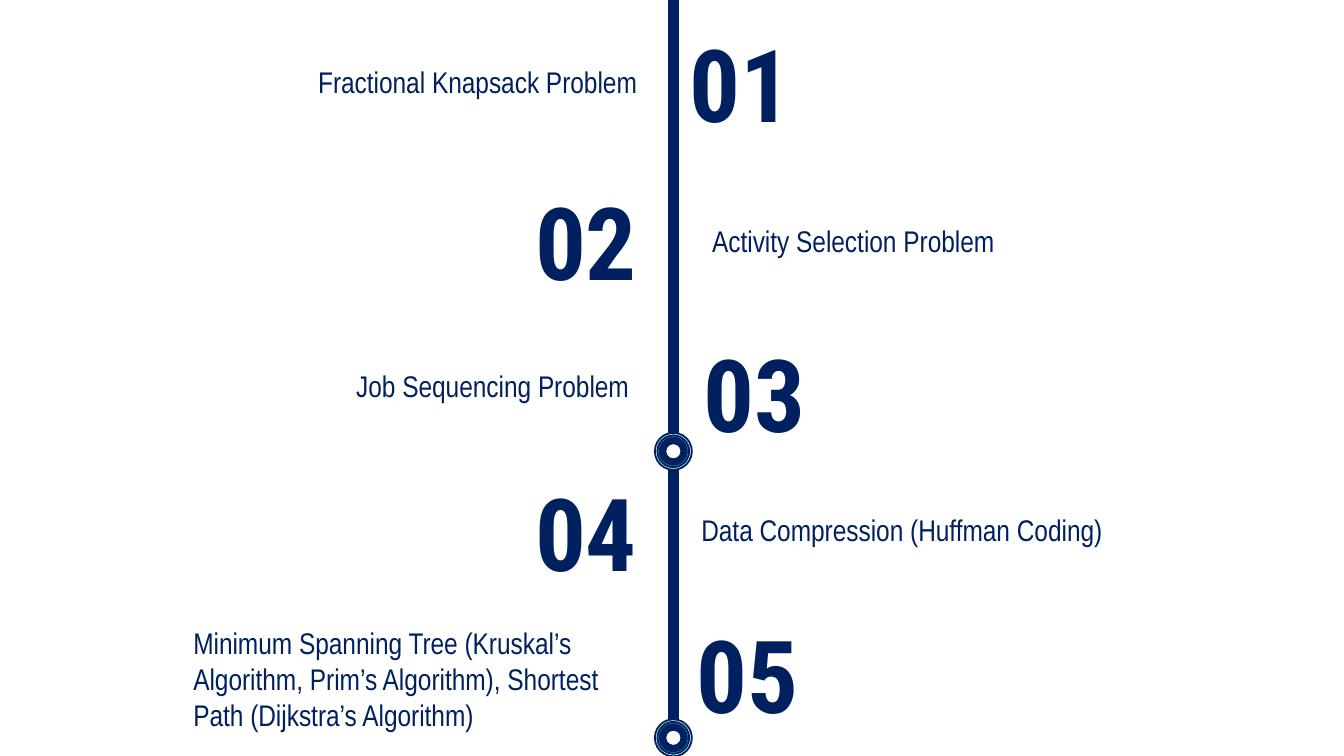
from typing import NamedTuple

from lxml.etree import SubElement
from pptx import Presentation
from pptx.dml.color import RGBColor
from pptx.enum.shapes import MSO_CONNECTOR as Connector, MSO_SHAPE as Shape
from pptx.enum.text import MSO_AUTO_SIZE as AutoSize, PP_ALIGN as Align
from pptx.oxml.ns import qn
from pptx.slide import Slide
from pptx.util import Inches, Pt

COLORS = {"navy": "002060", "white": "FFFFFF", "green": "00B393"}
CELL = Inches(0.1)  # the slide is a grid of 100 columns by 56.25 rows
COLUMNS, ROWS = 100, 56.25
AXIS = 50.1
NODE_ROWS = (33.58, 54.9)
NUMBER_WIDTH, NUMBER_HEIGHT = 13.4, 10.1


class Topic(NamedTuple):
    text: str
    left: float
    top: float
    width: float
    height: float
    align: Align
    number_left: float
    number_top: float


class Disc(NamedTuple):
    kind: Shape
    size: float
    fill: str
    line: str


TOPICS = (
    Topic("Fractional Knapsack Problem", 20.8, 4.25, 27.6, 3.7,
          Align.RIGHT, 48.4, 1.1),
    Topic("Activity Selection Problem", 52, 16.1, 25.8, 3.7,
          Align.LEFT, 36.9, 12.9),
    Topic("Job Sequencing Problem", 20.8, 26.9, 27, 3.7,
          Align.RIGHT, 49.45, 24.2),
    Topic("Data Compression (Huffman Coding)", 51.2, 37.6, 40.7, 3.7,
          Align.LEFT, 36.9, 34.55),
    Topic("Minimum Spanning Tree (Kruskal’s Algorithm, Prim’s Algorithm), "
          "Shortest Path (Dijkstra’s Algorithm)", 13.4, 46, 34.3, 9.1,
          Align.LEFT, 48.9, 45.1),
)
NODE = (
    Disc(Shape.OVAL, 2.3, "navy", "green"),
    Disc(Shape.DONUT, 2.75, "white", "navy"),
    Disc(Shape.OVAL, 1.2, "white", "navy"),
)


def cells(count: float) -> int:
    return round(count * CELL)


def color(name: str) -> RGBColor:
    return RGBColor.from_string(COLORS[name])


def add_text(slide: Slide, text: str, box: tuple[float, ...], align: Align,
             font_name: str, size: int, bold: bool = False) -> None:
    frame = slide.shapes.add_textbox(*map(cells, box)).text_frame
    frame.word_wrap = True
    frame.auto_size = AutoSize.SHAPE_TO_FIT_TEXT
    paragraph = frame.paragraphs[0]
    paragraph.text = text
    paragraph.alignment = align
    font = paragraph.font
    font.name, font.size, font.bold = font_name, Pt(size), bold
    font.color.rgb = color("navy")


def add_topic(slide: Slide, number: int, topic: Topic) -> None:
    add_text(slide, topic.text,
             (topic.left, topic.top, topic.width, topic.height),
             topic.align, "Arial Narrow", 16)
    add_text(slide, f"{number:02}",
             (topic.number_left, topic.number_top,
              NUMBER_WIDTH, NUMBER_HEIGHT),
             Align.CENTER, "Roboto Condensed", 54, bold=True)


def add_node(slide: Slide, row: float) -> None:
    """Stack the concentric discs of a timeline node on the axis."""
    for disc in NODE:
        corner = (AXIS - disc.size / 2, row - disc.size / 2)
        shape = slide.shapes.add_shape(
            disc.kind, *map(cells, (*corner, disc.size, disc.size)))
        shape.shadow.inherit = False
        shape.fill.solid()
        shape.fill.fore_color.rgb = color(disc.fill)
        shape.line.color.rgb = color(disc.line)
        shape.line.width = Pt(1)
        if disc.kind == Shape.DONUT:
            shape.adjustments[0] = 0.07


def add_axis(slide: Slide) -> None:
    axis = slide.shapes.add_connector(
        Connector.STRAIGHT, *map(cells, (AXIS, 0, AXIS, ROWS)))
    axis.line.color.rgb = color("navy")
    axis.line.width = Pt(6)
    SubElement(axis.element.spPr, qn("a:effectLst"))


def main() -> None:
    presentation = Presentation()
    presentation.slide_width = cells(COLUMNS)
    presentation.slide_height = cells(ROWS)
    slide = presentation.slides.add_slide(presentation.slide_layouts[6])
    slide.background.fill.solid()
    slide.background.fill.fore_color.rgb = color("white")
    add_axis(slide)
    for row in NODE_ROWS:
        add_node(slide, row)
    for number, topic in enumerate(TOPICS, start=1):
        add_topic(slide, number, topic)
    presentation.save("out.pptx")


if __name__ == "__main__":
    main()
